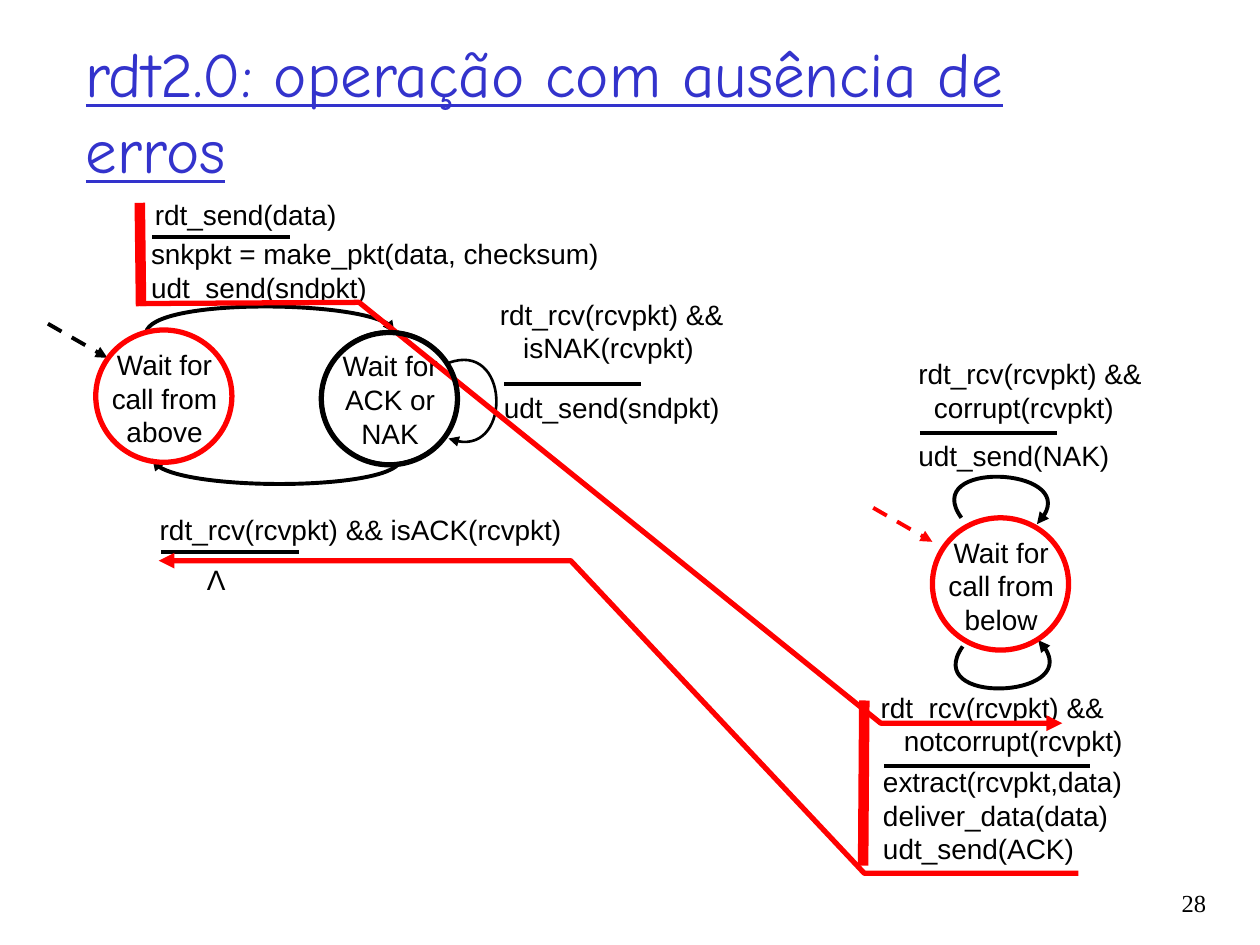
from lxml import etree
from pptx import Presentation
from pptx.dml.color import RGBColor
from pptx.enum.dml import MSO_LINE_DASH_STYLE as Dash
from pptx.enum.shapes import MSO_CONNECTOR as Connector, MSO_SHAPE as Shape
from pptx.enum.text import MSO_ANCHOR as Anchor, MSO_AUTO_SIZE as AutoSize, PP_ALIGN as Align
from pptx.oxml.ns import qn
from pptx.util import Pt

BLACK = RGBColor(0x00, 0x00, 0x00)
WHITE = RGBColor(0xFF, 0xFF, 0xFF)
RED = RGBColor(0xFF, 0x00, 0x00)
BLUE = RGBColor(0x33, 0x33, 0xCC)

TITLE_FONT = {"name": "Comic Neue", "size": Pt(36), "underline": True, "bold": False}
LABEL_FONT = {"name": "Arial", "size": Pt(16)}
NUMBER_FONT = {"name": "Times New Roman", "size": Pt(14)}
STATE_SIZE = (77.8, 75.6)
RULE_LENGTH = 78.5


def format_font(font, values, color=BLACK):
    for name, value in values.items():
        setattr(font, name, value)
    font.color.rgb = color


def shift(box, *points):
    """Move points from the box's own coordinates to slide lengths."""
    return [(Pt(box[0] + x), Pt(box[1] + y)) for x, y in points]


def format_line(line, color, width, dashed=False, arrow=False):
    line.color.rgb = color
    line.width = Pt(width)
    if dashed:
        line.dash_style = Dash.DASH
    if arrow:
        end = etree.SubElement(line._get_or_add_ln(), qn("a:tailEnd"))
        end.set("type", "triangle")


def add_label(slide, box, position, size, lines, font=LABEL_FONT, align=Align.LEFT,
              indent=0, wrap=True):
    """Add a text box; indent applies to the lines after the first."""
    left, top = shift(box, position)[0]
    frame = slide.shapes.add_textbox(left, top, Pt(size[0]), Pt(size[1])).text_frame
    frame.word_wrap = wrap
    frame.text = "\n".join(lines)
    for index, paragraph in enumerate(frame.paragraphs):
        paragraph.alignment = align
        if index and indent:
            paragraph._p.get_or_add_pPr().set("marL", str(Pt(indent)))
        format_font(paragraph.font, font)


def add_line(slide, box, start, end, color=BLACK, width=2.25, **style):
    (x1, y1), (x2, y2) = shift(box, start, end)
    connector = slide.shapes.add_connector(Connector.STRAIGHT, x1, y1, x2, y2)
    etree.SubElement(connector._element.spPr, qn("a:effectLst"))
    format_line(connector.line, color, width, **style)


def add_rule(slide, box, start, length=RULE_LENGTH):
    """Add the bar between an event and its actions."""
    add_line(slide, box, start, (start[0] + length, start[1]))


def add_arrow_path(slide, box, points, color=BLACK, width=2.25):
    start, *rest = shift(box, *points)
    builder = slide.shapes.build_freeform(*start)
    builder.add_line_segments(rest, close=False)
    shape = builder.convert_to_shape()
    shape.shadow.inherit = False
    shape.fill.background()
    format_line(shape.line, color, width, arrow=True)
    return shape


def add_curve(slide, box, points, width=2.25):
    """Turn the three segments of an arrow path into one Bezier curve."""
    shape = add_arrow_path(slide, box, points, width=width)
    path = next(shape._element.iter(qn("a:path")))
    curve = etree.SubElement(path, qn("a:cubicBezTo"))
    for segment in path.findall(qn("a:lnTo")):
        curve.append(segment[0])
        path.remove(segment)


def add_circle(slide, box, position, color=BLACK, width=1.5, fill=None):
    left, top = shift(box, position)[0]
    circle = slide.shapes.add_shape(Shape.OVAL, left, top, *map(Pt, STATE_SIZE))
    circle.shadow.inherit = False
    if fill is None:
        circle.fill.background()
    else:
        circle.fill.solid()
        circle.fill.fore_color.rgb = fill
    format_line(circle.line, color, width)


def add_state(slide, box, position, text, label_width=94.3):
    add_circle(slide, box, position, fill=WHITE)
    label_left = position[0] + (STATE_SIZE[0] - label_width) / 2 + 0.4
    add_label(slide, box, (label_left, position[1] + 6.5), (label_width, 48.2),
              [text], align=Align.CENTER)


def add_title(slide, box, text):
    title = slide.shapes.title
    title.left, title.top, title.width, title.height = map(Pt, box)
    frame = title.text_frame
    frame.text = text
    frame.word_wrap = True
    frame.auto_size = AutoSize.NONE
    frame.vertical_anchor = Anchor.MIDDLE
    frame.paragraphs[0].alignment = Align.LEFT
    format_font(frame.paragraphs[0].font, TITLE_FONT, BLUE)


def add_sender(slide, box):
    add_state(slide, box, (27.7, 80.6), "Wait for call from above")
    add_label(slide, box, (52.2, 23.8), (286.6, 31.7),
              ["snkpkt = make_pkt(data, checksum)", "udt_send(sndpkt)"])
    add_rule(slide, box, (60.1, 27.4))
    add_curve(slide, box, [(56.5, 82.1), (59.4, 62.6), (198.4, 63.4), (198.4, 82.1)])
    add_curve(slide, box, [(202, 154.1), (202, 172.1), (63, 173.5), (60.1, 154.1)])
    add_label(slide, box, (57.2, 181.4), (279.4, 22.3), ["rdt_rcv(rcvpkt) && isACK(rcvpkt)"])
    add_rule(slide, box, (65.2, 207.4))
    add_curve(slide, box, [(229.3, 99.4), (263.9, 86.4), (266, 157), (229.3, 142.6)], 1.5)
    add_label(slide, box, (253.8, 111.6), (139, 31.7), ["udt_send(sndpkt)"])
    add_label(slide, box, (251.6, 58.3), (164.2, 49.7),
              ["rdt_rcv(rcvpkt) &&", "isNAK(rcvpkt)"], indent=13.3)
    add_rule(slide, box, (261, 111.6))
    add_state(slide, box, (156.6, 81.4), "Wait for ACK or NAK", 85)
    add_label(slide, box, (54.4, 1.4), (177.8, 33.8), ["rdt_send(data)"])
    add_label(slide, box, (83.9, 210.2), (25.2, 26.6), ["Λ"], align=Align.CENTER, wrap=False)
    add_line(slide, box, (0.4, 77), (34.4, 96.5), dashed=True, arrow=True)


def add_receiver(slide, box):
    add_label(slide, box, (27.7, 47), (144, 20.2), ["udt_send(NAK)"])
    add_label(slide, box, (27.7, 0.2), (151.2, 24.5),
              ["rdt_rcv(rcvpkt) &&", "corrupt(rcvpkt)"], indent=8.9)
    add_rule(slide, box, (35.6, 47.7))
    add_curve(slide, box, [(59.4, 95.9), (35.6, 62.8), (134.2, 67.1), (102.6, 99.5)])
    add_state(slide, box, (42.8, 95.9), "Wait for call from below")
    add_curve(slide, box, [(60.1, 169.4), (36.3, 203.2), (135.7, 198.9), (103.3, 165.8)])
    add_label(slide, box, (7.5, 233.4), (168.5, 49),
              ["extract(rcvpkt,data)", "deliver_data(data)", "udt_send(ACK)"])
    add_label(slide, box, (6.1, 191), (169.9, 55.4),
              ["rdt_rcv(rcvpkt) &&", "notcorrupt(rcvpkt)"], indent=13.3)
    add_rule(slide, box, (15.4, 237.8), 117.4)
    add_line(slide, box, (9, 90.2), (42.8, 109.6), RED, dashed=True, arrow=True)


def add_message_flow(slide, box):
    """Trace the data packet to the receiver and the ACK back to the sender."""
    add_line(slide, box, (0.9, 0.9), (1.6, 60), RED, 6)
    add_arrow_path(slide, box, [(0.9, 58.5), (126.2, 57.8), (424.3, 298.3), (528, 298.3)], RED, 3)
    add_line(slide, box, (414.9, 285.3), (414.2, 379.6), RED, 6)
    add_arrow_path(slide, box, [(537.3, 384), (414.9, 384), (247.2, 205.4), (11.7, 205.4)], RED, 3)


def main():
    presentation = Presentation()
    presentation.slide_width, presentation.slide_height = Pt(720), Pt(540)
    slide = presentation.slides.add_slide(presentation.slide_layouts[5])
    sender, receiver = (27, 108), (490, 200)
    add_title(slide, (41.8, 18, 612, 90), "rdt2.0: operação com ausência de erros")
    add_sender(slide, sender)
    add_receiver(slide, receiver)
    add_message_flow(slide, (79, 115))
    add_circle(slide, sender, (27.7, 80.6), RED, 3)
    add_circle(slide, sender, (156.6, 82), BLACK, 3)
    add_circle(slide, receiver, (42.8, 95.9), RED, 3)
    add_label(slide, (643, 504), (0, 0), (53.3, 36), ["28"], NUMBER_FONT, Align.RIGHT)
    presentation.save("out.pptx")


if __name__ == "__main__":
    main()
